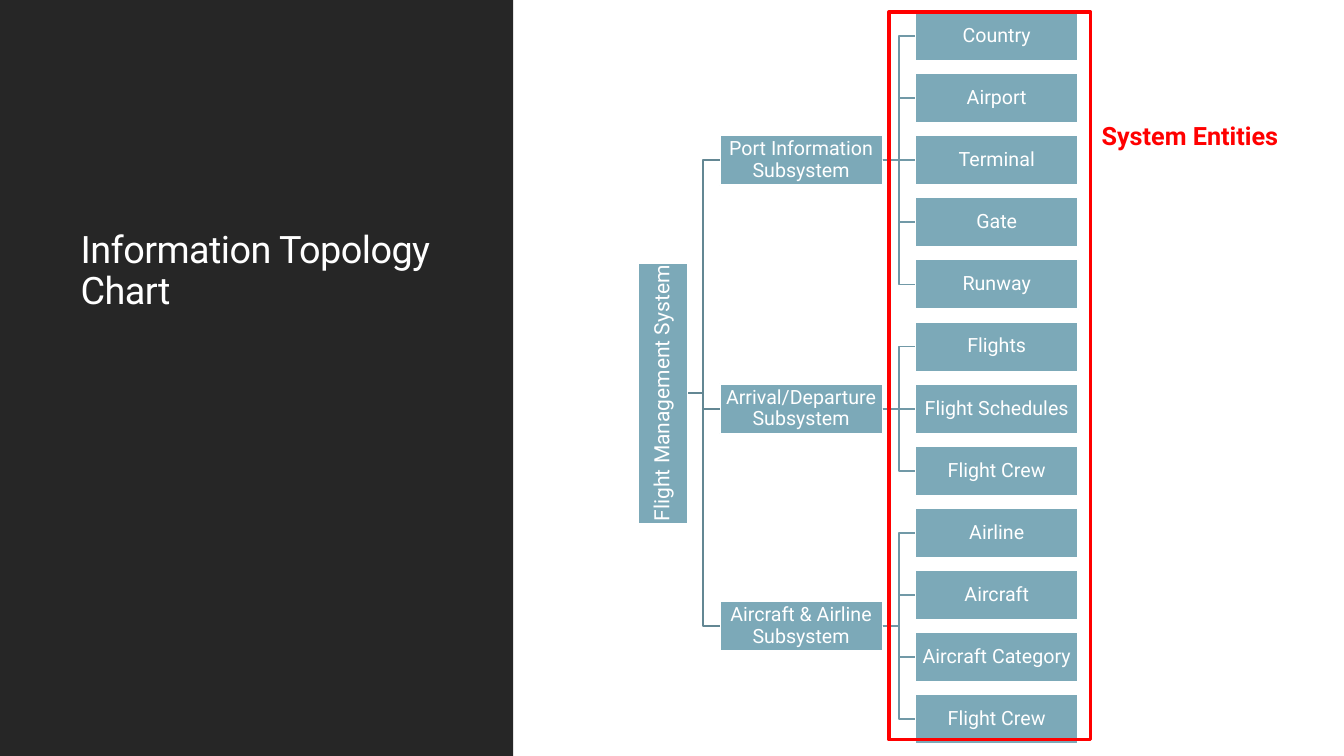
from dataclasses import dataclass

from pptx import Presentation
from pptx.dml.color import RGBColor
from pptx.enum import shapes, text
from pptx.oxml import parse_xml
from pptx.util import Pt


@dataclass(frozen=True)
class Theme:
    """Colours, font and type sizes of the slide."""
    font: str = "Roboto"
    panel: str = "262626"
    box: str = "7CA9B8"
    white: str = "FFFFFF"
    root_link: str = "638793"
    entity_link: str = "7199A7"
    accent: str = "FF0000"
    title_size: float = 27
    root_size: float = 15
    box_size: float = 14
    label_size: float = 18
    thin: float = 1.25
    thick: float = 2.25


THEME = Theme()
SUBSYSTEMS = {
    "Port Information Subsystem": ["Country", "Airport", "Terminal", "Gate", "Runway"],
    "Arrival/Departure Subsystem": ["Flights", "Flight Schedules", "Flight Crew"],
    "Aircraft & Airline Subsystem": ["Airline", "Aircraft", "Aircraft Category", "Flight Crew"],
}
BOX_W, BOX_H = 116.4, 35.5
ROOT_LENGTH, ROOT_X = 186.3, 473.4
SUBSYSTEM_X, ENTITY_X = 514.1, 653.8
FIRST_Y, PITCH = 25.7, 44.38
LINK_W = 23.3


def rgb(code):
    """Turn a hex code into a colour."""
    return RGBColor.from_string(code)


def write(frame, words, size, colour, bold=False):
    """Set one formatted paragraph and return it."""
    frame.text = words
    paragraph = frame.paragraphs[0]
    font = paragraph.runs[0].font
    font.name, font.size, font.bold = THEME.font, Pt(size), bold
    font.color.rgb = rgb(colour)
    return paragraph


def add_rect(slide, left, top, width, height, fill=None, line=None, weight=THEME.thin):
    """Add a flat rectangle with optional fill and outline."""
    rect = slide.shapes.add_shape(
        shapes.MSO_SHAPE.RECTANGLE, Pt(left), Pt(top), Pt(width), Pt(height))
    rect.shadow.inherit = False
    if fill:
        rect.fill.solid()
        rect.fill.fore_color.rgb = rgb(fill)
    else:
        rect.fill.background()
    if line:
        rect.line.color.rgb = rgb(line)
        rect.line.width = Pt(weight)
    else:
        rect.line.fill.background()
    return rect


def add_box(slide, left, middle, words, width=BOX_W, size=THEME.box_size):
    """Add a chart box centred on a height."""
    box = add_rect(slide, left, middle - BOX_H / 2, width, BOX_H, THEME.box, THEME.white)
    frame = box.text_frame
    frame.word_wrap = True
    frame.vertical_anchor = text.MSO_ANCHOR.MIDDLE
    frame.margin_left = frame.margin_right = Pt(0.7)
    frame.margin_top = frame.margin_bottom = Pt(0.7)
    paragraph = write(frame, words, size, THEME.white)
    paragraph.alignment = text.PP_ALIGN.CENTER
    paragraph.line_spacing = 0.9
    return box


def add_elbow(slide, left, start_y, end_y, colour):
    """Add a stepped link across one column gap."""
    half = left + LINK_W / 2
    builder = slide.shapes.build_freeform(Pt(left), Pt(start_y))
    builder.add_line_segments(
        [(Pt(half), Pt(start_y)), (Pt(half), Pt(end_y)), (Pt(left + LINK_W), Pt(end_y))],
        close=False)
    elbow = builder.convert_to_shape()
    elbow.shadow.inherit = False
    elbow.fill.background()
    elbow.line.color.rgb = rgb(colour)
    elbow.line.width = Pt(THEME.thin)


def add_straight(slide, subsystem, entity):
    """Join a subsystem to the entity level with it."""
    link = slide.shapes.add_connector(shapes.MSO_CONNECTOR.STRAIGHT, 0, 0, 0, 0)
    link.begin_connect(subsystem, 3)
    link.end_connect(entity, 1)
    link.line.color.rgb = rgb(THEME.entity_link)
    link.line.width = Pt(THEME.thin)
    link._element.spPr.append(parse_xml(
        '<a:effectLst xmlns:a="http://schemas.openxmlformats.org/drawingml/2006/main"/>'))


def add_branch(slide, name, entities, first):
    """Add a subsystem with its entities and return its middle height."""
    heights = [FIRST_Y + PITCH * (first + row) for row in range(len(entities))]
    middle = (heights[0] + heights[-1]) / 2
    subsystem = add_box(slide, SUBSYSTEM_X, middle, name)
    for row, (words, height) in enumerate(zip(entities, heights)):
        entity = add_box(slide, ENTITY_X, height, words)
        if 2 * row == len(entities) - 1:
            add_straight(slide, subsystem, entity)
        else:
            add_elbow(slide, SUBSYSTEM_X + BOX_W, middle, height, THEME.entity_link)
    return middle


def add_topology(slide):
    """Add the whole tree of system, subsystems and entities."""
    middles, first = [], 0
    for name, entities in SUBSYSTEMS.items():
        middles.append(add_branch(slide, name, entities, first))
        first += len(entities)
    root_y = (middles[0] + middles[-1]) / 2
    for middle in middles:
        add_elbow(slide, SUBSYSTEM_X - LINK_W, root_y, middle, THEME.root_link)
    root = add_box(slide, ROOT_X - ROOT_LENGTH / 2, root_y, "Flight Management System",
                   ROOT_LENGTH, THEME.root_size)
    root.rotation = 270


def add_title(slide):
    """Place the title on its dark panel."""
    panel = add_rect(slide, 0, 0, 366.5, 540, THEME.panel)
    slide.shapes._spTree.insert(2, panel._element)
    title = slide.shapes.title
    title.left, title.top, title.width, title.height = Pt(50.4), Pt(61.9), Pt(277.2), Pt(164.9)
    frame = title.text_frame
    frame.word_wrap = True
    frame.auto_size = text.MSO_AUTO_SIZE.NONE
    frame.vertical_anchor = text.MSO_ANCHOR.BOTTOM
    paragraph = write(frame, "Information Topology Chart", THEME.title_size, THEME.white)
    paragraph.alignment = text.PP_ALIGN.LEFT
    paragraph.line_spacing = 0.9
    paragraph.runs[0].font._element.set("spc", "-40")


def add_entity_callout(slide):
    """Frame the entity column and label it."""
    add_rect(slide, 635, 8.6, 144, 520, line=THEME.accent, weight=THEME.thick)
    label = slide.shapes.add_textbox(Pt(779.8), Pt(82.1), Pt(180), Pt(29))
    label.text_frame.word_wrap = True
    write(label.text_frame, "System Entities", THEME.label_size, THEME.accent, bold=True)


def main():
    """Build and save the slide."""
    deck = Presentation()
    deck.slide_width, deck.slide_height = Pt(960), Pt(540)
    slide = deck.slides.add_slide(deck.slide_layouts[5])
    add_title(slide)
    add_topology(slide)
    add_entity_callout(slide)
    deck.save("out.pptx")


if __name__ == "__main__":
    main()
